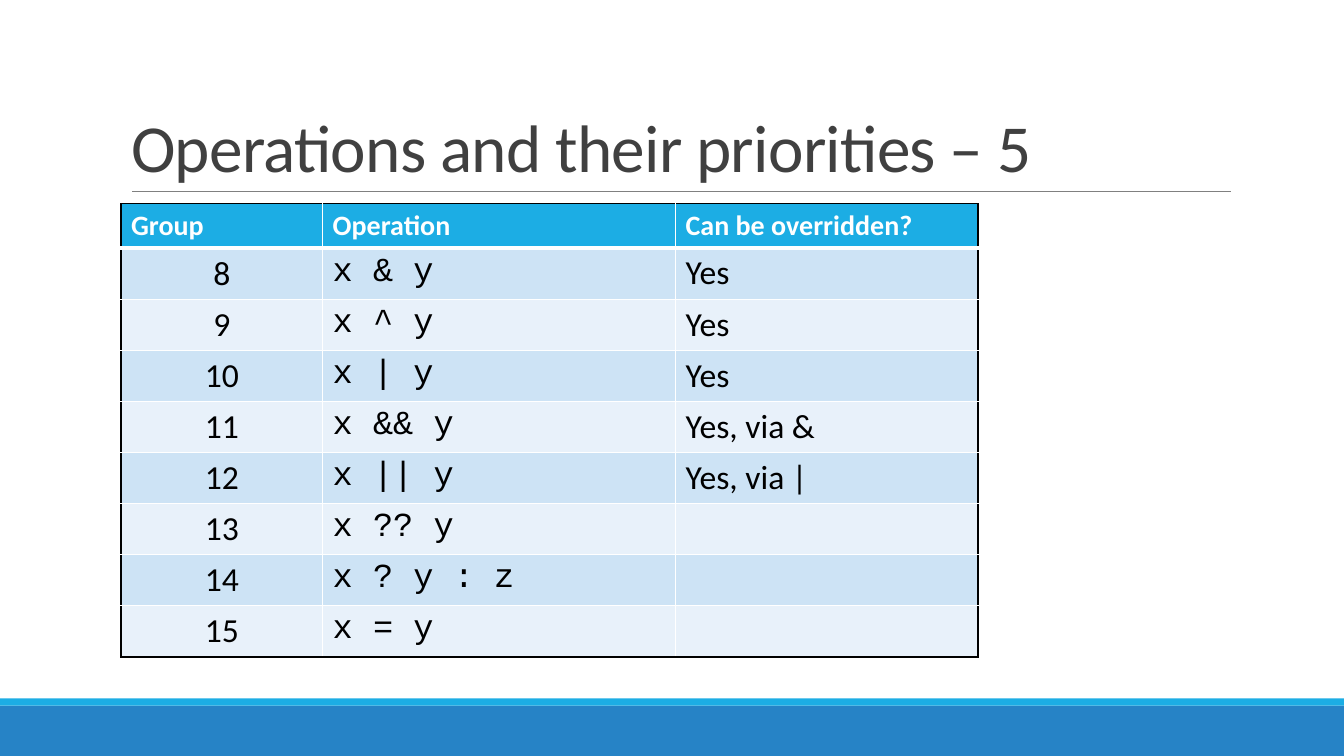
import pptx
import pptx.dml.color
import pptx.enum.shapes
import pptx.enum.text
import pptx.oxml
import pptx.util
from lxml import etree

Inches = pptx.util.Inches
Pt = pptx.util.Pt
ALIGN = pptx.enum.text.PP_ALIGN
ANCHOR = pptx.enum.text.MSO_ANCHOR
NAMESPACE = "http://schemas.openxmlformats.org/drawingml/2006/main"

TITLE = "Operations and their priorities – 5"
HEADER = ("Group", "Operation", "Can be overridden?")
OPERATIONS = [
    ("8", "x & y", "Yes"),
    ("9", "x ^ y", "Yes"),
    ("10", "x | y", "Yes"),
    ("11", "x && y", "Yes, via &"),
    ("12", "x || y", "Yes, via |"),
    ("13", "x ?? y", ""),
    ("14", "x ? y : z", ""),
    ("15", "x = y", ""),
]
BARS = [(7, 0.5, "2683C6"), (6.93, 0.07, "1CADE4")]
COLUMN_WIDTHS = (2, 3.5, 3)
COLUMN_FONTS = ("Calibri", "Courier New", "Calibri")
ROW_HEIGHT = 0.41
HEADER_FILL = "1CADE4"
BAND_FILLS = ("CDE3F5", "E8F1FA")
TITLE_FORMAT = {"name": "Calibri", "size": Pt(48), "bold": False}
HEADER_FORMAT = {"name": "Calibri", "size": Pt(20), "bold": True}
BODY_FORMAT = {"size": Pt(24), "bold": False}


def rgb(value):
    return pptx.dml.color.RGBColor.from_string(value)


def set_values(target, values):
    for name, value in values.items():
        setattr(target, name, value)


def paint(shape, color):
    shape.fill.solid()
    shape.fill.fore_color.rgb = rgb(color)


def style_font(font, values, color):
    set_values(font, values)
    font.color.rgb = rgb(color)


def add_border(cell, side, color, points):
    properties = cell._tc.get_or_add_tcPr()
    properties.append(pptx.oxml.parse_xml(
        f'<a:ln{side} xmlns:a="{NAMESPACE}" w="{Pt(points)}">'
        f'<a:solidFill><a:srgbClr val="{color}"/></a:solidFill></a:ln{side}>'
    ))


def add_bars(page, width):
    for top, height, color in BARS:
        bar = page.shapes.add_shape(
            pptx.enum.shapes.MSO_SHAPE.RECTANGLE, 0, Inches(top), width, Inches(height))
        bar.shadow.inherit = False
        paint(bar, color)
        bar.line.fill.background()


def add_rule(page):
    rule = page.shapes.add_connector(
        pptx.enum.shapes.MSO_CONNECTOR.STRAIGHT,
        Inches(1.31), Inches(1.9), Inches(12.21), Inches(1.9))
    rule.line.color.rgb = rgb("808080")
    rule.line.width = Pt(0.5)
    etree.SubElement(rule._element.spPr, f"{{{NAMESPACE}}}effectLst")


def add_title(page):
    title = page.shapes.title
    set_values(title, {"left": Inches(1.2), "top": Inches(0.31),
                       "width": Inches(11), "height": Inches(1.59)})
    set_values(title.text_frame, {"text": TITLE, "word_wrap": True,
                                  "vertical_anchor": ANCHOR.BOTTOM,
                                  "auto_size": pptx.enum.text.MSO_AUTO_SIZE.NONE})
    para = title.text_frame.paragraphs[0]
    set_values(para, {"alignment": ALIGN.LEFT, "line_spacing": 0.85})
    span = para.runs[0]
    style_font(span.font, TITLE_FORMAT, "404040")
    span._r.get_or_add_rPr().set("spc", "-50")


def fill_cell(cell, text, row, column):
    is_header = row == 0
    outer = {"L": column == 0, "R": column == len(HEADER) - 1,
             "T": is_header, "B": row == len(OPERATIONS)}
    for side, is_outer in outer.items():
        thick = (is_header and side == "B") or (row == 1 and side == "T")
        add_border(cell, side, "000000" if is_outer else "FFFFFF", 3 if thick else 1)
    paint(cell, HEADER_FILL if is_header else BAND_FILLS[(row - 1) % 2])
    para = cell.text_frame.paragraphs[0]
    if column == 0 and not is_header:
        cell.vertical_anchor = ANCHOR.MIDDLE
        para.alignment = ALIGN.CENTER
    if text:
        span = para.add_run()
        span.text = text
        if is_header:
            style_font(span.font, HEADER_FORMAT, "FFFFFF")
        else:
            style_font(span.font, {**BODY_FORMAT, "name": COLUMN_FONTS[column]}, "000000")


def add_operations(page):
    rows = [HEADER, *OPERATIONS]
    frame = page.shapes.add_table(
        len(rows), len(HEADER), Inches(1.2), Inches(2.02),
        Inches(sum(COLUMN_WIDTHS)), Inches(ROW_HEIGHT * len(rows)))
    table = frame.table
    for column, width in zip(table.columns, COLUMN_WIDTHS):
        column.width = Inches(width)
    for row, texts in enumerate(rows):
        for column, text in enumerate(texts):
            fill_cell(table.cell(row, column), text, row, column)


def main():
    deck = pptx.Presentation()
    set_values(deck, {"slide_width": Inches(13.33), "slide_height": Inches(7.5)})
    page = deck.slides.add_slide(deck.slide_layouts.get_by_name("Title Only"))
    add_bars(page, deck.slide_width)
    add_rule(page)
    add_title(page)
    add_operations(page)
    deck.save("out.pptx")


if __name__ == "__main__":
    main()
